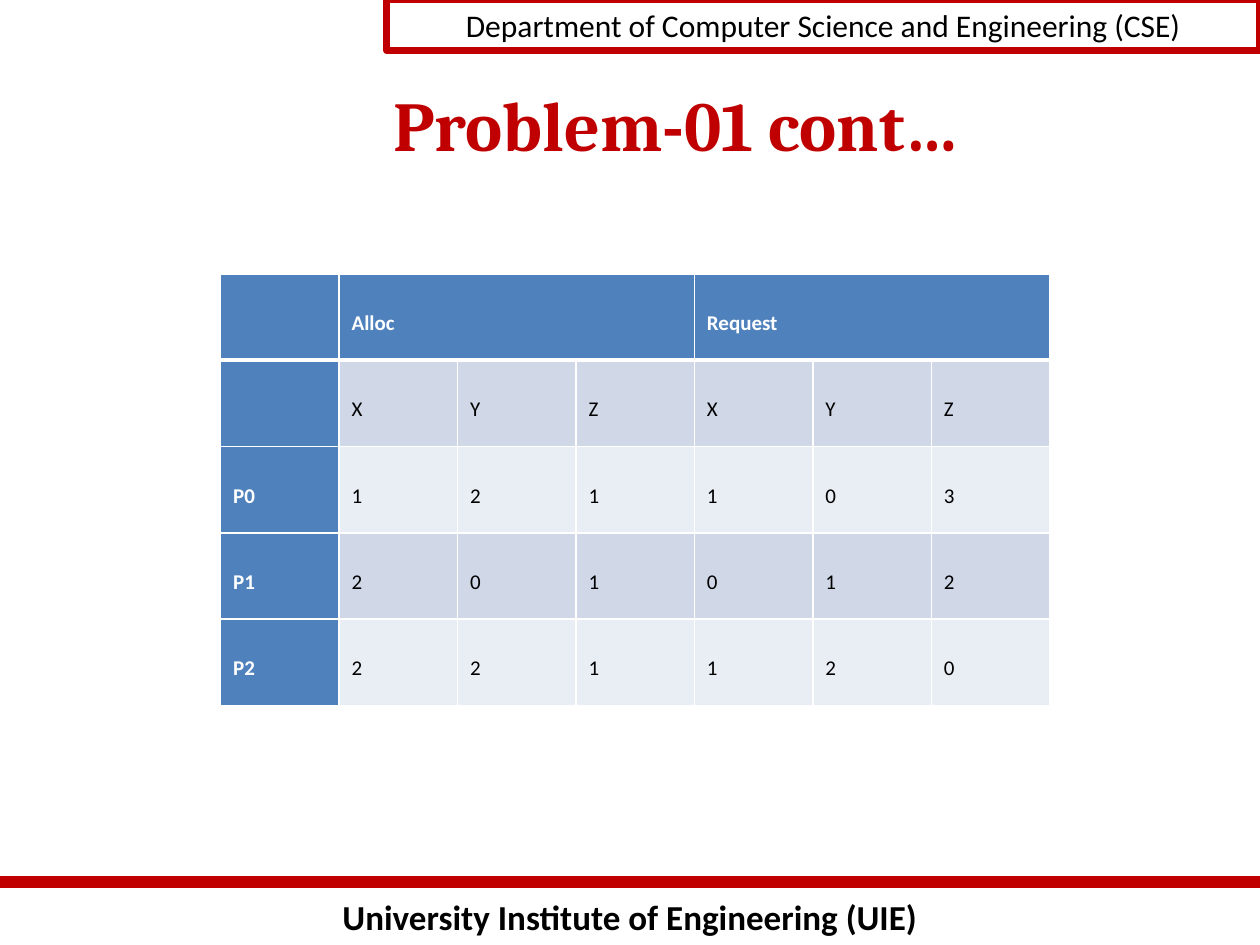
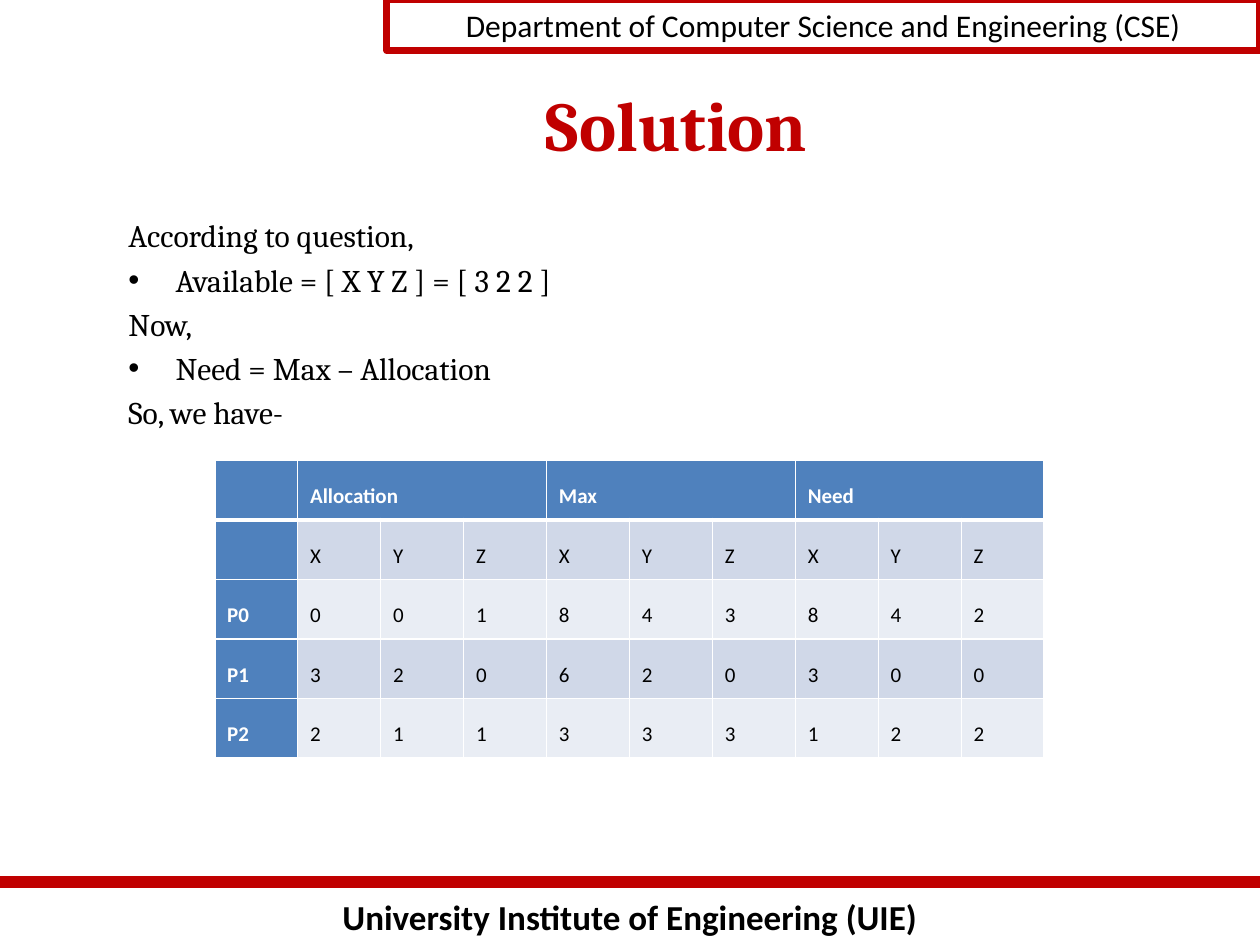
"""Builds two slides on deadlock detection: a problem table and its solution."""
import pptx
import pptx.dml.color
import pptx.enum.shapes
import pptx.enum.text
import pptx.oxml.ns
import pptx.util
from lxml import etree

Cm = pptx.util.Cm
Pt = pptx.util.Pt
ALIGN = pptx.enum.text.PP_ALIGN
ANCHOR = pptx.enum.text.MSO_ANCHOR

COLORS = {
    "red": "C00000",
    "black": "000000",
    "white": "FFFFFF",
    "header": "4F81BD",
    "band_dark": "D0D8E8",
    "band_light": "E9EDF4",
}
SLIDE_WIDTH, SLIDE_HEIGHT = Cm(25.4), Cm(19.05)
TITLE_ONLY = 5
TABLE_WIDTH = 16.72
DEPARTMENT = "Department of Computer Science and Engineering (CSE)"
INSTITUTE = "University Institute of Engineering (UIE)"


def rgb(name):
    return pptx.dml.color.RGBColor.from_string(COLORS[name])


def add_element(parent, tag, **attributes):
    return etree.SubElement(parent, pptx.oxml.ns.qn(tag), attributes)


def style_paragraph(para, size, font, color="black", bold=False, align=ALIGN.LEFT):
    para.alignment = align
    for span in para.runs:
        span.font.size = Pt(size)
        span.font.name = font
        span.font.bold = bold
        span.font.color.rgb = rgb(color)


def add_department_box(slide):
    left = Cm(7.8)
    box = slide.shapes.add_shape(
        pptx.enum.shapes.MSO_SHAPE.RECTANGLE, left, 0, SLIDE_WIDTH - left, Cm(1.02))
    box.shadow.inherit = False
    box.fill.background()
    box.line.color.rgb = rgb("red")
    box.line.width = Pt(4)
    box.text_frame.text = DEPARTMENT
    box.text_frame.vertical_anchor = ANCHOR.MIDDLE
    style_paragraph(box.text_frame.paragraphs[0], 18, "Calibri", align=ALIGN.CENTER)


def add_footer(slide):
    top = Cm(17.78)
    rule = slide.shapes.add_connector(
        pptx.enum.shapes.MSO_CONNECTOR.STRAIGHT, 0, top, SLIDE_WIDTH, top)
    rule.line.color.rgb = rgb("red")
    rule.line.width = Pt(7)
    add_element(rule._element.spPr, "a:effectLst")
    box = slide.shapes.add_textbox(0, Cm(17.93), SLIDE_WIDTH, Cm(1.12))
    box.text_frame.word_wrap = True
    box.text_frame.text = INSTITUTE
    style_paragraph(box.text_frame.paragraphs[0], 20, "Calibri", bold=True, align=ALIGN.CENTER)


def add_titled_slide(deck, title_text):
    slide = deck.slides.add_slide(deck.slide_layouts[TITLE_ONLY])
    add_footer(slide)
    add_department_box(slide)
    title = slide.shapes.title
    title.left, title.top, title.width, title.height = Cm(2.97), Cm(1.7), Cm(21.34), Cm(1.6)
    title.text_frame.text = title_text
    title.text_frame.vertical_anchor = ANCHOR.MIDDLE
    style_paragraph(title.text_frame.paragraphs[0], 40, "Cambria", "red", True, ALIGN.CENTER)
    return slide


def add_bullet(para):
    properties = para._p.get_or_add_pPr()
    indent = Cm(0.95)
    properties.set("marL", str(indent))
    properties.set("indent", str(-indent))
    add_element(properties, "a:buFont", typeface="Arial")
    add_element(properties, "a:buChar", char="•")


def add_steps(slide, steps):
    box = slide.shapes.add_textbox(Cm(2.34), Cm(4.24), Cm(22.02), Cm(11.1))
    frame = box.text_frame
    frame.word_wrap = True
    for index, (text, bulleted) in enumerate(steps):
        para = frame.add_paragraph() if index else frame.paragraphs[0]
        para.text = text
        if index:
            para.space_before = Pt(3.6)
        if bulleted:
            add_bullet(para)
        style_paragraph(para, 18, "Cambria")


def set_borders(cell, row):
    """Draw white cell borders, thicker between the header row and the body."""
    widths = {"L": 1, "R": 1, "T": 3 if row == 1 else 1, "B": 3 if row == 0 else 1}
    properties = cell._tc.get_or_add_tcPr()
    for side, width in widths.items():
        line = add_element(properties, f"a:ln{side}", w=str(Pt(width)))
        fill = add_element(line, "a:solidFill")
        add_element(fill, "a:srgbClr", val=COLORS["white"])


def format_cell(cell, text, row, column):
    is_header = row == 0 or column == 0
    set_borders(cell, row)
    cell.fill.solid()
    cell.fill.fore_color.rgb = rgb(
        "header" if is_header else "band_dark" if row % 2 else "band_light")
    cell.vertical_anchor = ANCHOR.MIDDLE
    cell.margin_left = cell.margin_right = Cm(0.25)
    cell.margin_top = cell.margin_bottom = Cm(0.2)
    if text:
        cell.text_frame.text = text
        para = cell.text_frame.paragraphs[0]
        para.line_spacing = 1.5
        style_paragraph(para, 12, "Calibri", "white" if is_header else "black", is_header)


def add_process_table(slide, left, top, row_height, groups, processes):
    """Add a table with one X, Y, Z column group per heading and one row per process."""
    heading = [""]
    for group in groups:
        heading += [group, "", ""]
    rows = [heading, ["", *"XYZ" * len(groups)]]
    rows += [[name, *values] for name, values in processes.items()]
    columns = len(heading)
    table = slide.shapes.add_table(
        len(rows), columns, Cm(left), Cm(top),
        Cm(TABLE_WIDTH), Cm(row_height * len(rows))).table
    for column in table.columns:
        column.width = Cm(TABLE_WIDTH / columns)
    for row in table.rows:
        row.height = Cm(row_height)
    for row, texts in enumerate(rows):
        for column, text in enumerate(texts):
            format_cell(table.cell(row, column), text, row, column)
    for first in range(1, columns, 3):
        table.cell(0, first).merge(table.cell(0, first + 2))


def main():
    deck = pptx.Presentation()
    deck.slide_width, deck.slide_height = SLIDE_WIDTH, SLIDE_HEIGHT

    problem = add_titled_slide(deck, "Problem-01 cont…")
    add_process_table(problem, 4.45, 5.52, 1.74, ["Alloc", "Request"],
                      {"P0": "121103", "P1": "201012", "P2": "221120"})

    solution = add_titled_slide(deck, "Solution")
    add_steps(solution, [
        ("According to question,", False),
        ("Available = [ X Y Z ] = [ 3 2 2 ]", True),
        ("Now,", False),
        ("Need = Max – Allocation", True),
        ("So, we have-", False),
    ])
    add_process_table(solution, 4.33, 9.28, 1.2, ["Allocation", "Max", "Need"],
                      {"P0": "001843842", "P1": "320620300", "P2": "211333122"})

    deck.save("out.pptx")


if __name__ == "__main__":
    main()
